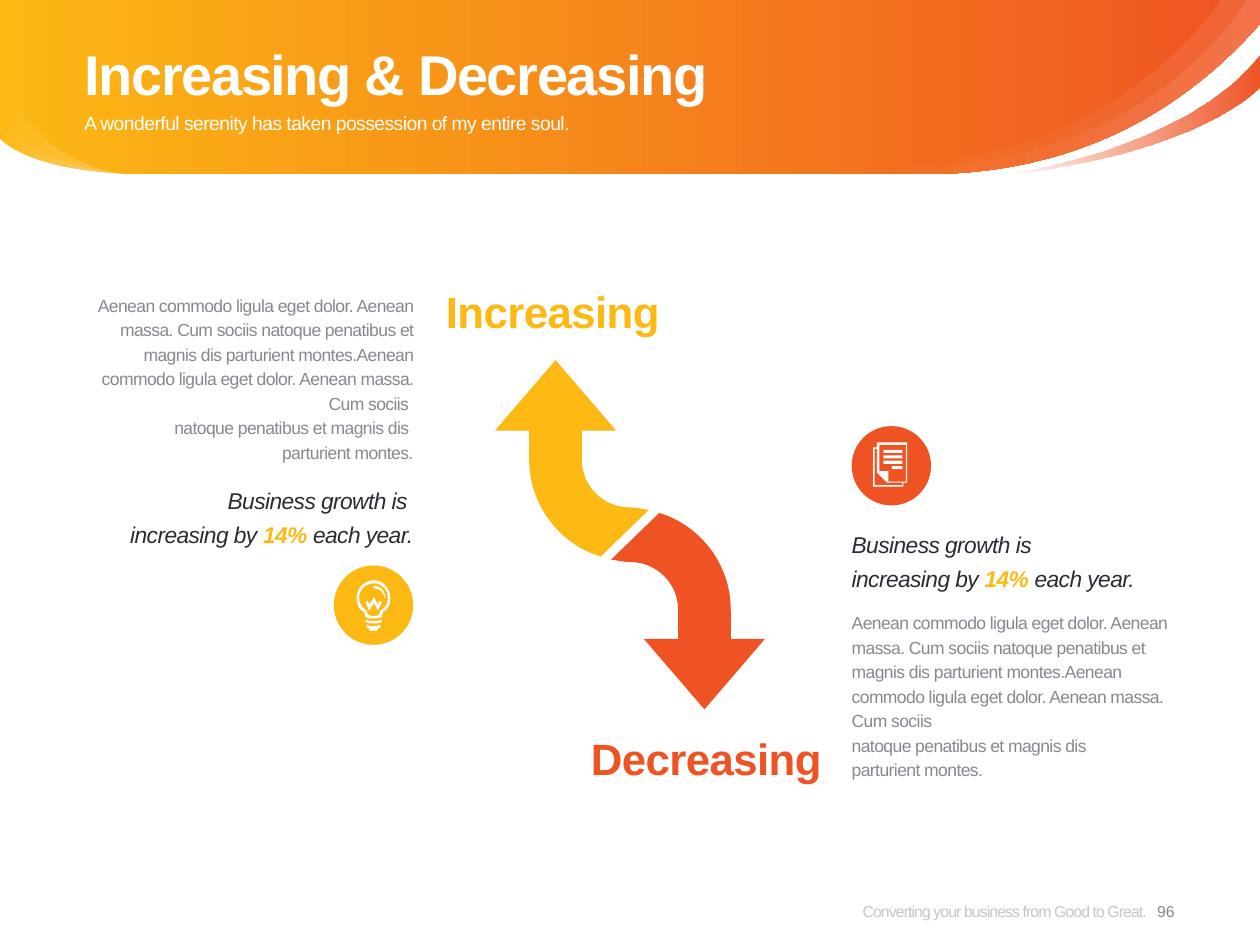
from pptx import Presentation
from pptx.dml.color import RGBColor
from pptx.enum.shapes import MSO_SHAPE
from pptx.enum.text import MSO_ANCHOR, PP_ALIGN
from pptx.oxml.ns import qn
from pptx.util import Cm, Pt

LEFT, CENTER, RIGHT = PP_ALIGN.LEFT, PP_ALIGN.CENTER, PP_ALIGN.RIGHT
TOP, MIDDLE = MSO_ANCHOR.TOP, MSO_ANCHOR.MIDDLE
OVAL = MSO_SHAPE.OVAL
COLORS = {"yellow": "FCB813", "orange": "EF5323", "white": "FFFFFF",
          "gray": "85898F", "dark": "292C34", "footer": "8C8C8C"}
COLUMN_WIDTH = 6.63
BODY = ("Aenean commodo ligula eget dolor. Aenean massa. Cum sociis natoque "
        "penatibus et magnis dis parturient montes.Aenean commodo ligula eget "
        "dolor. Aenean massa. Cum sociis \nnatoque penatibus et magnis dis \n"
        "parturient montes.")

ARROW = [(3.1, 3.02), (2.13, 3.96), (1.3, 3.71, 0.69, 2.92, 0.69, 2.01),
         (0.69, 1.42), (0, 1.42), (1.22, 0), (2.44, 1.42), (1.75, 1.42),
         (1.75, 2.01), (1.75, 2.54, 2.18, 2.97, 2.72, 2.97),
         (2.84, 2.97, 2.97, 3, 3.1, 3.02)]
BULB = [
    [(0.66, 1.19), (0.66, 1.24), (0.66, 1.24, 0.66, 1.27, 0.71, 1.27),
     (0.71, 1.3), (0.71, 1.3, 0.74, 1.32, 0.81, 1.32),
     (0.86, 1.32, 0.89, 1.3, 0.89, 1.3), (0.89, 1.27),
     (0.94, 1.27, 0.94, 1.24, 0.94, 1.24), (0.94, 1.19),
     (0.91, 1.22, 0.86, 1.22, 0.81, 1.22), (0.74, 1.22, 0.69, 1.22, 0.66, 1.19)],
    [(0.64, 1.09), (0.64, 1.14), (0.69, 1.17, 0.74, 1.17, 0.81, 1.17),
     (0.86, 1.17, 0.91, 1.17, 0.97, 1.14), (0.97, 1.09),
     (0.91, 1.12, 0.86, 1.12, 0.81, 1.12), (0.74, 1.12, 0.69, 1.12, 0.64, 1.09)],
    [(0.81, 0.3), (0.61, 0.3, 0.46, 0.46, 0.46, 0.66),
     (0.46, 0.79, 0.51, 0.89, 0.61, 0.94), (0.64, 1.04),
     (0.69, 1.07, 0.74, 1.07, 0.81, 1.07), (0.86, 1.07, 0.91, 1.07, 0.97, 1.04),
     (0.99, 0.94), (1.09, 0.89, 1.14, 0.79, 1.14, 0.66),
     (1.14, 0.46, 0.99, 0.3, 0.81, 0.3)],
    [(0.94, 0.91), (0.91, 0.99), (0.91, 0.99, 0.89, 1.02, 0.81, 1.02),
     (0.71, 1.02, 0.69, 0.99, 0.69, 0.99), (0.66, 0.91),
     (0.58, 0.86, 0.51, 0.76, 0.51, 0.66), (0.51, 0.48, 0.64, 0.36, 0.81, 0.36),
     (0.97, 0.36, 1.09, 0.48, 1.09, 0.66), (1.09, 0.76, 1.04, 0.86, 0.94, 0.91)],
    [(0.89, 0.79), (0.81, 0.64), (0.71, 0.79), (0.69, 0.71), (0.64, 0.74),
     (0.71, 0.91), (0.81, 0.76), (0.89, 0.91), (0.97, 0.74), (0.91, 0.71)],
    [(0.81, 0.41), (0.79, 0.41, 0.79, 0.41, 0.79, 0.43),
     (0.79, 0.43, 0.79, 0.46, 0.81, 0.46), (0.91, 0.46, 1.02, 0.53, 1.02, 0.66),
     (1.04, 0.66), (1.04, 0.51, 0.94, 0.41, 0.81, 0.41)],
]
TEXT_LINES = [[(x, y), (1.02, y), (1.02, y + 0.06), (x, y + 0.06)]
              for x, y in ((0.64, 0.48), (0.64, 0.59), (0.64, 0.7), (0.81, 0.81))]
DOCUMENT = TEXT_LINES + [
    [(0.51, 0.33), (0.51, 0.43), (0.43, 0.43), (0.43, 1.22), (1.04, 1.22),
     (1.04, 1.14), (1.12, 1.14), (1.12, 0.33)],
    [(1.02, 1.19), (0.46, 1.19), (0.46, 0.46), (0.51, 0.46), (0.51, 0.94),
     (0.71, 1.14), (1.02, 1.14)],
    [(1.09, 1.12), (0.74, 1.12), (0.74, 0.91), (0.56, 0.91), (0.56, 0.38),
     (1.09, 0.38)],
]


def rgb(name):
    """Return the named colour."""
    return RGBColor.from_string(COLORS[name])


def set_alpha(color_element, percent):
    """Give a colour element an opacity."""
    alpha = color_element.makeelement(qn("a:alpha"), {"val": str(percent * 1000)})
    color_element.append(alpha)


def paint(shape, fill):
    """Fill with one colour name or a list of (position, colour, opacity) stops."""
    shape.shadow.inherit = False
    shape.line.fill.background()
    if isinstance(fill, str):
        shape.fill.solid()
        shape.fill.fore_color.rgb = rgb(fill)
        return
    shape.fill.gradient()
    shape.fill.gradient_angle = 0
    for stop, (position, color, _) in zip(shape.fill.gradient_stops, fill):
        stop.position = position
        stop.color.rgb = rgb(color)
    elements = shape._element.spPr.iter(qn("a:srgbClr"))
    for element, (_, _, opacity) in zip(list(elements), fill):
        set_alpha(element, opacity)


def add_outline(shapes, left, top, contours, fill):
    """Draw closed contours of points and cubic segments as one shape."""
    paths = [[(Cm(segment[-2]), Cm(segment[-1])) for segment in contour]
             for contour in contours]
    builder = shapes.build_freeform(*paths[0][0])
    for index, path in enumerate(paths):
        if index:
            builder.move_to(*path[0])
        builder.add_line_segments(path[1:], close=True)
    shape = builder.convert_to_shape(Cm(left), Cm(top))
    paint(shape, fill)
    west, north = (min(point[axis] for path in paths for point in path) for axis in (0, 1))
    segments = [segment for contour in contours for segment in contour[1:]]
    for line, segment in zip(list(shape._element.iter(qn("a:lnTo"))), segments):
        if len(segment) == 6:
            line.tag = qn("a:cubicBezTo")
            for index in (0, 1):
                x, y = segment[2 * index:2 * index + 2]
                control = {"x": str(int(Cm(x) - west)), "y": str(int(Cm(y) - north))}
                line.insert(index, line.makeelement(qn("a:pt"), control))
    return shape


def add_text(slide, box, paragraphs, size, color, align=LEFT, anchor=TOP,
             bold=False, italic=False, spacing=0, line=None, opacity=None):
    """Add a text box; each paragraph is a list of (text, accent colour or None)."""
    frame = slide.shapes.add_textbox(*map(Cm, box)).text_frame
    frame.word_wrap = True
    frame.vertical_anchor = anchor
    frame.margin_left = frame.margin_right = frame.margin_top = frame.margin_bottom = 0
    for index, pieces in enumerate(paragraphs):
        paragraph = frame.add_paragraph() if index else frame.paragraphs[0]
        paragraph.alignment = align
        if line:
            paragraph.line_spacing = Pt(line)
        for text, accent in pieces:
            for number, part in enumerate(text.split("\n")):
                if number:
                    paragraph.add_line_break()
                run = paragraph.add_run()
                run.text = part
                font = run.font
                font.name, font.size, font.italic = "Arial", Pt(size), italic
                font.bold = bold or accent is not None
                font.color.rgb = rgb(accent or color)
                run._r.get_or_add_rPr().set("spc", str(round(spacing * 100)))
                if opacity is not None:
                    set_alpha(run._r.rPr.find(".//" + qn("a:srgbClr")), opacity)


def add_header(slide, left, top):
    """Draw the gradient banner with its swooshes, title and subtitle."""
    shapes = slide.shapes.add_group_shape().shapes
    right_edge = [(25.4, 0), (25.4, 0.48), (23.88, 2.21, 21.72, 3.51, 18.64, 3.51)]
    left_edge = [(2.9, 3.51), (0.53, 3.48, 0, 2.79, 0, 2.79)]
    glow_start = right_edge + [(18.42, 3.51), (17.35, 3.51, 16.59, 3.33, 16.54, 3.33)]
    swoosh = [(20.17, 3.51), (20.17, 3.51, 23.88, 3.05, 25.4, 1.09),
              (25.4, 1.75), (25.4, 1.75, 24.23, 3.1, 20.17, 3.51)]
    right_glow = [(0.15, "white", 0), (1, "white", 10)]
    left_glow = [(0, "white", 0), (1, "white", 30)]
    parts = [
        (right_edge + left_edge + [(0, 0)], [(0, "yellow", 100), (1, "orange", 100)]),
        (swoosh, [(0, "orange", 0), (1, "orange", 100)]),
        (glow_start + [(21.13, 3.63, 23.52, 1.47, 24.61, 0)], right_glow),
    ]
    parts += [(left_edge + [(0, y), (0, y, 0.53, 3.45, 2.9, 3.51)], left_glow)
              for y in (2.26, 1.35)]
    parts.append((glow_start + [(16.71, 3.35, 22.4, 4.11, 25.12, 0)], right_glow))
    for contour, fill in parts:
        add_outline(shapes, left, top, [contour], fill)
    add_text(slide, (left + 1.7, top + 0.58, 22, 1.65), [[("Increasing & Decreasing", None)]],
             32, "white", anchor=MIDDLE, bold=True, spacing=-0.8, line=42)
    add_text(slide, (left + 1.7, top + 2.24, 22, 0.99),
             [[("A wonderful serenity has taken possession of my entire soul.", None)]],
             11, "white", spacing=-0.3)


def add_icon(slide, left, top, color, contours):
    """Draw a white symbol on a coloured disc."""
    shapes = slide.shapes.add_group_shape().shapes
    disc = shapes.add_shape(OVAL, Cm(left), Cm(top), Cm(1.6), Cm(1.6))
    paint(disc, color)
    add_outline(shapes, left, top, contours, "white")


def add_column(slide, left, top, align, body_top, quote_top, opening):
    """Place the body text and the growth statement of one column."""
    add_text(slide, (left, top + body_top, COLUMN_WIDTH, 3.48), [[(BODY, None)]],
             10, "gray", align=align, spacing=-0.3, line=14)
    statement = [[(opening, None)],
                 [("increasing by ", None), ("14%", "yellow"), (" each year.", None)]]
    add_text(slide, (left, top + quote_top, COLUMN_WIDTH, 1.35), statement,
             13, "dark", align=align, italic=True, spacing=-0.3, line=19)


def add_arrows(slide, left, top):
    """Draw the rising arrow, its half-turned partner and their headings."""
    add_outline(slide.shapes, left, top, [ARROW], "yellow")
    falling = add_outline(slide.shapes, left + 2.34, top + 3.08, [ARROW], "orange")
    falling.rotation = 180
    for x, y, word, color, align in ((-0.99, -1.52, "Increasing", "yellow", LEFT),
                                     (-0.05, 7.5, "Decreasing", "orange", RIGHT)):
        add_text(slide, (left + x, top + y, COLUMN_WIDTH, 1.07), [[(word, None)]],
                 25, color, align=align, bold=True, spacing=-0.3)


def add_footer(slide, left, top):
    """Place the tagline and the page number."""
    add_text(slide, (left, top, 7.77, 1.37),
             [[("Converting your business from Good to Great.", None)]], 9, "footer",
             align=RIGHT, anchor=MIDDLE, spacing=-0.5, opacity=50)
    add_text(slide, (left + 7.57, top, 1.19, 1.37), [[("96", None)]], 9, "gray",
             align=CENTER, anchor=MIDDLE)


def main():
    """Build and save the slide."""
    presentation = Presentation()
    presentation.slide_width, presentation.slide_height = Cm(25.4), Cm(19.05)
    slide = presentation.slides.add_slide(presentation.slide_layouts[6])
    add_header(slide, 0, 0)
    add_footer(slide, 15.34, 17.68)
    add_icon(slide, 6.73, 11.4, "yellow", BULB)
    add_icon(slide, 17.17, 8.59, "orange", DOCUMENT)
    add_arrows(slide, 9.98, 7.26)
    add_column(slide, 1.7, 5.87, RIGHT, 0, 3.83, "Business growth is ")
    add_column(slide, 17.17, 8.59, LEFT, 3.68, 2, "Business growth is")
    presentation.save("out.pptx")


if __name__ == "__main__":
    main()
